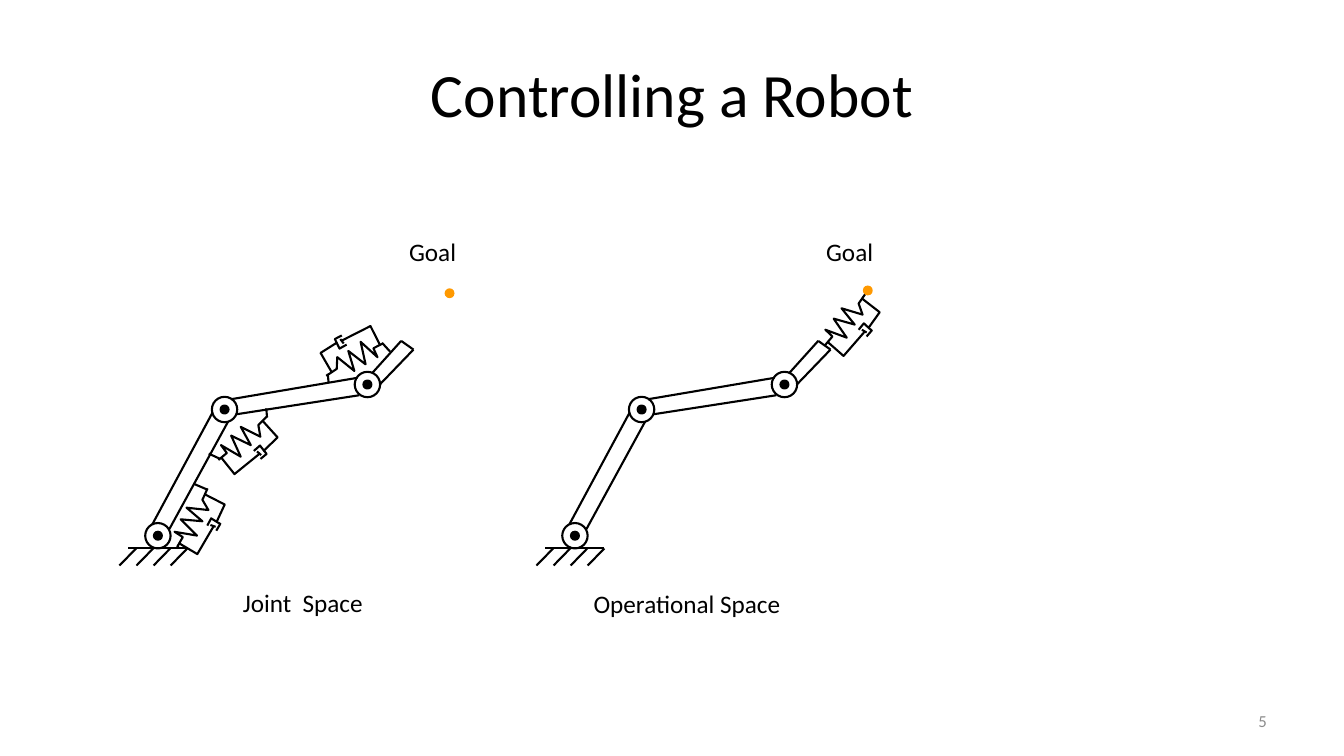
from dataclasses import dataclass
from math import cos, radians, sin

from pptx import Presentation
from pptx import util as u
from pptx.dml import color
from pptx.enum import shapes, text
from pptx.oxml import ns, xmlchemy

Point = tuple[float, float]

COLORS = {"ink": "000000", "goal": "FF9900", "number": "8C8C8C"}
STROKE = u.Pt(1.5)


@dataclass(frozen=True)
class Label:
    wording: str
    left: float
    top: float
    width: float
    height: float = 1.02


@dataclass(frozen=True)
class SpringDamper:
    x: float
    y: float
    angle: float = 0


@dataclass(frozen=True)
class Panel:
    base: Point
    goal: Point
    labels: tuple[Label, ...]
    springs: tuple[SpringDamper, ...]
    mounts: tuple[tuple[Point, Point], ...] = ()


# Robot arm, in cm from the centre of its base joint
JOINT_SIZE, PIN_SIZE, GOAL_SIZE = 0.64, 0.2, 0.25
JOINTS = ((0, 0), (1.68, -3.18), (5.28, -3.81))
GROUND = ((-0.75, 0.32), (0.72, 0.32))
HATCHES = tuple(((-0.55 + 0.43 * i, 0.32), (-0.97 + 0.43 * i, 0.75))
                for i in range(4))
LINKS = (
    ((-0.14, -0.29), (1.38, -3.11)),
    ((0.29, -0.17), (1.77, -2.88)),
    ((1.84, -3.44), (5.03, -3.98)),
    ((1.97, -3.06), (5.07, -3.54)),
    ((5.4, -4.1), (6.13, -4.91)),
    ((5.6, -3.82), (6.44, -4.69)),
    ((6.13, -4.91), (6.44, -4.69)),
)

# Spring with damper, in cm from its centre, before rotation
SPRING_PARTS = (
    # coil
    ((-0.51, 0.65), (-0.33, 0.44), (-0.51, 0.27), (0.03, 0.47), (-0.3, -0.01),
     (0.23, 0.14), (-0.1, -0.27), (0.43, -0.11), (0.33, -0.39), (0.51, -0.65)),
    # damper rod, cylinder and piston
    ((-0.46, 0.57), (-0.05, 0.93), (0.48, 0.32)),
    ((0.41, -0.52), (0.86, -0.17), (0.58, 0.22), (0.46, 0.11), (0.33, 0.27)),
    ((0.58, 0.22), (0.66, 0.29), (0.53, 0.44)),
    ((0.41, 0.27), (0.53, 0.34)),
)

OPERATIONAL_SPACE = Panel(
    base=(14.49, 13.5),
    goal=(21.87, 7.32),
    labels=(Label("Goal", 20.57, 5.84, 1.7),
            Label("Operational Space", 14.71, 14.71, 5.28)),
    springs=(SpringDamper(21.31, 8.04),),
)
JOINT_SPACE = Panel(
    base=(3.98, 13.5),
    goal=(11.33, 7.39),
    labels=(Label("Goal", 10.06, 5.84, 1.7),
            Label("Joint  Space", 5.87, 14.68, 3.58)),
    springs=(SpringDamper(6.12, 11.04, 10),
             SpringDamper(8.94, 9.06, 202.1),
             SpringDamper(4.85, 13.04, 349.3)),
    mounts=(
        ((4.88, 12.19), (5.23, 12.34)),
        ((5.26, 11.43), (5.54, 11.56)),
        ((6.71, 10.29), (6.73, 10.52)),
        ((8.26, 9.42), (8.28, 9.63)),
        ((9.63, 8.64), (9.83, 8.86)),
        ((4.45, 13.82), (4.5, 13.74)),
    ),
)


def rgb(name: str) -> color.RGBColor:
    return color.RGBColor.from_string(COLORS[name])


def format_text(frame, wording: str, size: int, ink: str, align, anchor) -> None:
    frame.text = wording
    frame.vertical_anchor = anchor
    paragraph = frame.paragraphs[0]
    paragraph.alignment = align
    font = paragraph.runs[0].font
    for key, value in {"name": "Calibri", "size": u.Pt(size)}.items():
        setattr(font, key, value)
    font.color.rgb = rgb(ink)


def add_label(slide, label: Label, size: int = 18, ink: str = "ink",
              align=text.PP_ALIGN.LEFT, anchor=text.MSO_ANCHOR.TOP) -> None:
    box = slide.shapes.add_textbox(u.Cm(label.left), u.Cm(label.top),
                                   u.Cm(label.width), u.Cm(label.height))
    box.text_frame.word_wrap = False
    format_text(box.text_frame, label.wording, size, ink, align, anchor)


def add_dot(slide, center: Point, size: float, fill: str | None = None,
            outlined: bool = True) -> None:
    left, top = (u.Cm(c - size / 2) for c in center)
    dot = slide.shapes.add_shape(shapes.MSO_SHAPE.OVAL, left, top,
                                 u.Cm(size), u.Cm(size))
    dot.shadow.inherit = False
    if fill:
        dot.fill.solid()
        dot.fill.fore_color.rgb = rgb(fill)
    else:
        dot.fill.background()
    if outlined:
        dot.line.color.rgb = rgb("ink")
        dot.line.width = STROKE
    else:
        dot.line.fill.background()


def add_stroke(slide, points: tuple[Point, ...]) -> None:
    """Draw a straight connector, or an open outline for three points or more."""
    corners = [(u.Cm(x), u.Cm(y)) for x, y in points]
    if len(corners) == 2:
        stroke = slide.shapes.add_connector(shapes.MSO_CONNECTOR.STRAIGHT,
                                            *corners[0], *corners[1])
        properties = stroke.line._get_or_add_ln().getparent()
        properties.append(xmlchemy.OxmlElement(ns.qn("a:effectLst")
                                               and "a:effectLst"))
    else:
        builder = slide.shapes.build_freeform(*corners[0])
        builder.add_line_segments(corners[1:], close=False)
        stroke = builder.convert_to_shape()
        stroke.shadow.inherit = False
        stroke.fill.background()
    stroke.line.color.rgb = rgb("ink")
    stroke.line.width = STROKE


def shift(point: Point, origin: Point) -> Point:
    return origin[0] + point[0], origin[1] + point[1]


def turn(point: Point, angle: float) -> Point:
    (x, y), a = point, radians(angle)
    return x * cos(a) - y * sin(a), x * sin(a) + y * cos(a)


def add_panel(slide, panel: Panel) -> None:
    # Arm
    for joint in JOINTS:
        center = shift(joint, panel.base)
        add_dot(slide, center, JOINT_SIZE)
        add_dot(slide, center, PIN_SIZE, "ink")
    for segment in (GROUND, *HATCHES, *LINKS):
        add_stroke(slide, tuple(shift(p, panel.base) for p in segment))
    # Springs and their mounts
    for spring in panel.springs:
        for part in SPRING_PARTS:
            add_stroke(slide, tuple(shift(turn(p, spring.angle), (spring.x, spring.y))
                                    for p in part))
    for mount in panel.mounts:
        add_stroke(slide, mount)
    # Goal and captions
    add_dot(slide, panel.goal, GOAL_SIZE, "goal", outlined=False)
    for label in panel.labels:
        add_label(slide, label)


def main() -> None:
    deck = Presentation()
    deck.slide_width, deck.slide_height = u.Cm(33.87), u.Cm(19.05)
    slide = deck.slides.add_slide(deck.slide_layouts[5])

    # Title and slide number
    title = slide.shapes.title
    frame = {"left": 1.7, "top": 0.76, "width": 30.48, "height": 3.18}
    for key, value in frame.items():
        setattr(title, key, u.Cm(value))
    format_text(title.text_frame, "Controlling a Robot", 44, "ink",
                text.PP_ALIGN.CENTER, text.MSO_ANCHOR.MIDDLE)
    add_label(slide, Label("5", 24.28, 17.65, 7.9), 12, "number",
              text.PP_ALIGN.RIGHT, text.MSO_ANCHOR.MIDDLE)

    # Both ways of control
    for panel in (OPERATIONAL_SPACE, JOINT_SPACE):
        add_panel(slide, panel)

    deck.save("out.pptx")


if __name__ == "__main__":
    main()
